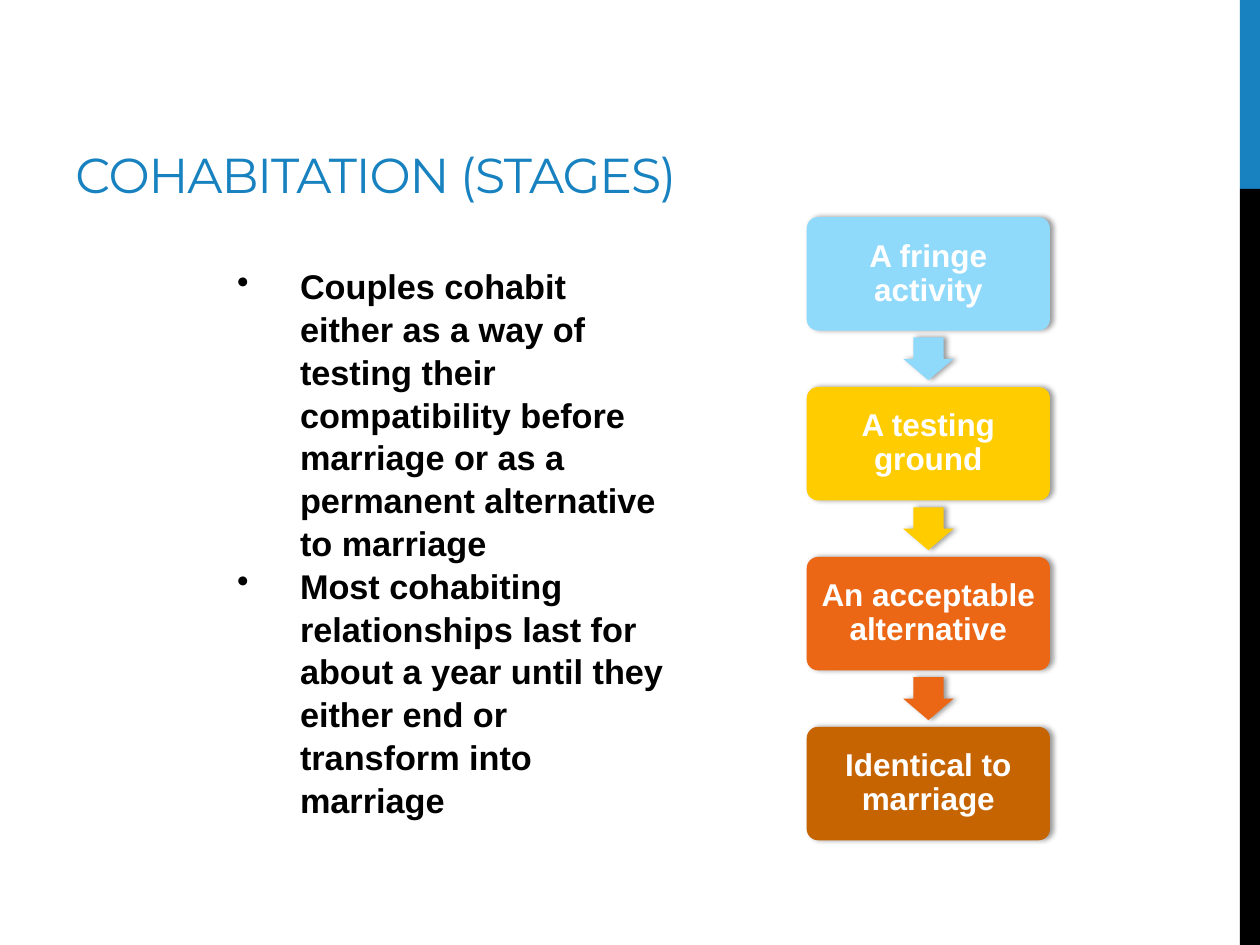
from dataclasses import dataclass

from lxml.etree import SubElement
from pptx import Presentation
from pptx.dml.color import RGBColor
from pptx.enum.shapes import MSO_SHAPE
from pptx.enum.text import MSO_ANCHOR, PP_ALIGN
from pptx.oxml.ns import qn
from pptx.util import Pt


@dataclass(frozen=True)
class Theme:
    blue: str = "1782BF"
    black: str = "000000"
    white: str = "FFFFFF"
    title_font: str = "Montserrat"
    body_font: str = "Arial"
    title_size: float = 28
    body_size: float = 19.6
    stage_size: float = 18


@dataclass(frozen=True)
class Stage:
    text: str
    color: str


THEME = Theme()
STAGES = [
    Stage("A fringe activity", "8FD9FB"),
    Stage("A testing ground", "FFCC00"),
    Stage("An acceptable alternative", "EB6615"),
    Stage("Identical to marriage", "C76402"),
]
POINTS = [
    "Couples cohabit either as a way of testing their compatibility before "
    "marriage or as a permanent alternative to marriage",
    "Most cohabiting relationships last for about a year until they either "
    "end or transform into marriage",
]
# Flow geometry, in points
BOX_LEFT, BOX_TOP, BOX_W, BOX_H = 461, 124.1, 139, 64.8
PITCH = 97.1
ARROW_W, ARROW_H = 24.5, 28.8


def add_block(s, kind, left: float, top: float, width: float, height: float, color: str):
    sp = s.shapes.add_shape(kind, Pt(left), Pt(top), Pt(width), Pt(height))
    sp.shadow.inherit = False
    sp.fill.solid()
    sp.fill.fore_color.rgb = RGBColor.from_string(color)
    sp.line.fill.background()
    return sp


def add_shadow(sp) -> None:
    effects = sp._element.spPr.find(qn("a:effectLst"))
    shadow = SubElement(effects, qn("a:outerShdw"), blurRad=str(Pt(3.1)),
                        dist=str(Pt(1.8)), dir="0", rotWithShape="0")
    color = SubElement(shadow, qn("a:srgbClr"), val=THEME.black)
    SubElement(color, qn("a:alpha"), val="40000")


def set_insets(tf, left: float, top: float, right: float, bottom: float) -> None:
    tf.margin_left, tf.margin_top = Pt(left), Pt(top)
    tf.margin_right, tf.margin_bottom = Pt(right), Pt(bottom)
    tf.word_wrap = True


def set_font(p, name: str, size: float, color: str, bold: bool = False) -> None:
    p.font.name, p.font.size, p.font.bold = name, Pt(size), bold
    p.font.color.rgb = RGBColor.from_string(color)


def add_bullet(p) -> None:
    pPr = p._p.get_or_add_pPr()
    pPr.set("marL", str(Pt(36)))
    pPr.set("indent", str(Pt(-36)))
    bullet = pPr.makeelement(qn("a:buChar"), {"char": "•"})
    pPr.insert_element_before(bullet, "a:tabLst", "a:defRPr", "a:extLst")


def add_title(s, text: str) -> None:
    tf = s.shapes.add_textbox(Pt(36), Pt(12.24), Pt(455.76), Pt(108)).text_frame
    set_insets(tf, 7.2, 3.6, 7.2, 4.2)
    tf.vertical_anchor = MSO_ANCHOR.BOTTOM
    p = tf.paragraphs[0]
    r = p.add_run()
    r.text = text
    r.font._element.set("spc", "-60")
    set_font(p, THEME.title_font, THEME.title_size, THEME.blue)


def add_points(s, points: list[str]) -> None:
    tf = s.shapes.add_textbox(Pt(128.4), Pt(123.84), Pt(259.2), Pt(356.4)).text_frame
    set_insets(tf, 7.2, 27, 7.2, 3.6)
    for i, text in enumerate(points):
        p = tf.add_paragraph() if i else tf.paragraphs[0]
        p.text = text
        p.line_spacing = 1.045
        set_font(p, THEME.body_font, THEME.body_size, THEME.black, bold=True)
        add_bullet(p)


def add_stage(s, stage: Stage, top: float) -> None:
    sp = add_block(s, MSO_SHAPE.ROUNDED_RECTANGLE, BOX_LEFT, top, BOX_W, BOX_H, stage.color)
    sp.adjustments[0] = 0.1
    add_shadow(sp)
    tf = sp.text_frame
    set_insets(tf, 5, 5, 5, 5)
    tf.vertical_anchor = MSO_ANCHOR.MIDDLE
    p = tf.paragraphs[0]
    p.text = stage.text
    p.alignment = PP_ALIGN.CENTER
    p.line_spacing = 0.9
    set_font(p, THEME.body_font, THEME.stage_size, THEME.white, bold=True)


def add_arrow(s, color: str, center_y: float) -> None:
    left = BOX_LEFT + (BOX_W - ARROW_W) / 2
    sp = add_block(s, MSO_SHAPE.RIGHT_ARROW, left, center_y - ARROW_H / 2,
                   ARROW_W, ARROW_H, color)
    sp.rotation = 90
    sp.adjustments[0], sp.adjustments[1] = 0.6, 0.5
    add_shadow(sp)


def main() -> None:
    prs = Presentation()
    prs.slide_width, prs.slide_height = Pt(720), Pt(540)
    s = prs.slides.add_slide(prs.slide_layouts[6])

    # Side band
    add_block(s, MSO_SHAPE.RECTANGLE, 708.5, 0, 11.5, 108, THEME.blue)
    add_block(s, MSO_SHAPE.RECTANGLE, 708.5, 108, 11.5, 432, THEME.black)

    # Title and bullet points
    add_title(s, "COHABITATION (STAGES)")
    add_points(s, POINTS)

    # Flow of stages, with an arrow centred in each gap
    for i, stage in enumerate(STAGES):
        top = BOX_TOP + i * PITCH
        add_stage(s, stage, top)
        if i < len(STAGES) - 1:
            add_arrow(s, stage.color, top + (BOX_H + PITCH) / 2)

    prs.save("out.pptx")


if __name__ == "__main__":
    main()
